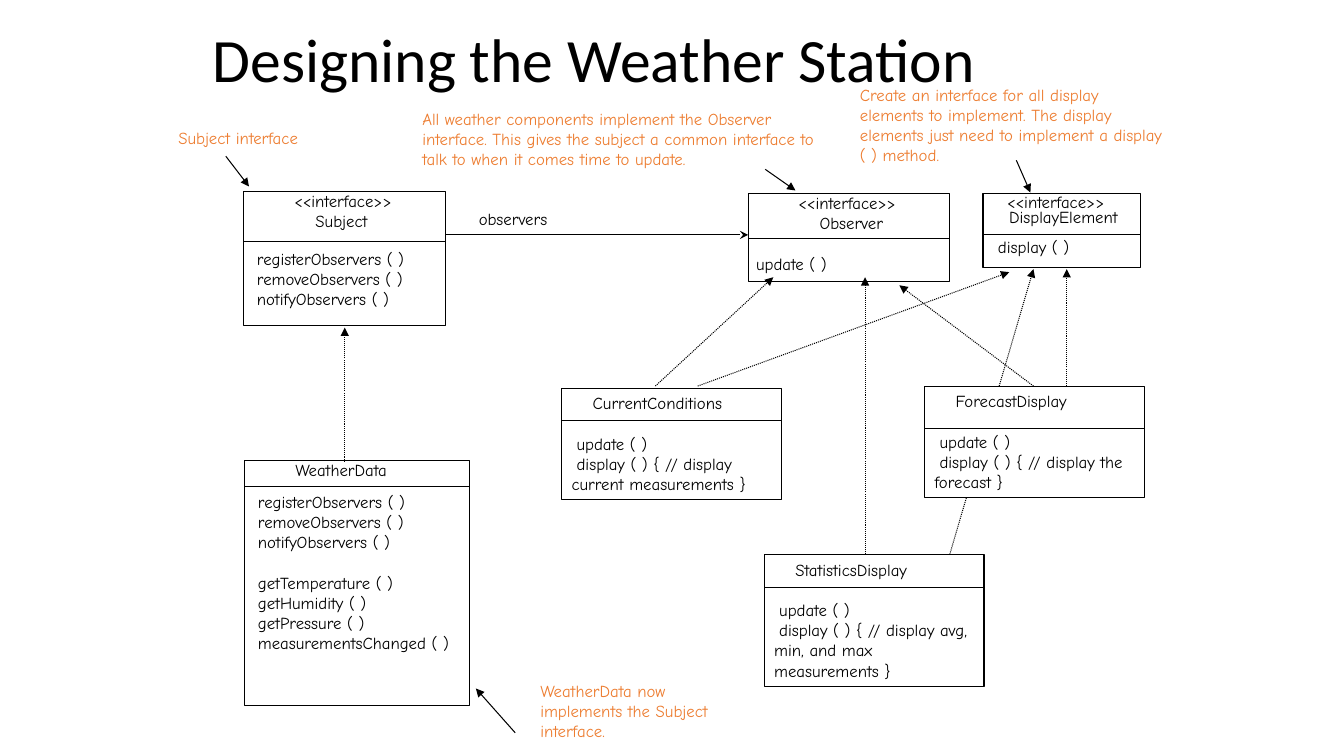
from pptx import Presentation
from pptx.dml.color import RGBColor
from pptx.enum import dml, shapes, text
from pptx.oxml.ns import qn
from pptx.util import Inches, Pt
from lxml import etree

BLACK = RGBColor(0x00, 0x00, 0x00)
WHITE = RGBColor(0xFF, 0xFF, 0xFF)
ORANGE = RGBColor(0xED, 0x7D, 0x31)
BODY_FONT = "Comic Neue"
NAME_INDENT = 0.21
MEMBER_INDENT = 0.05
LINE_GAP = 14.5  # one empty line of 12 pt text


def write(frame, lines, color=BLACK, font=BODY_FONT, size=12, spacing=None):
    """Fill a frame with lines of (words, first-line indent in inches, points before)."""
    frame.word_wrap = True
    for number, (words, indent, before) in enumerate(lines):
        paragraph = frame.paragraphs[0] if number == 0 else frame.add_paragraph()
        paragraph.alignment = text.PP_ALIGN.LEFT
        paragraph._p.get_or_add_pPr().set("indent", str(Inches(indent)))
        if spacing:
            paragraph.line_spacing = spacing
        if before:
            paragraph.space_before = Pt(before)
        run = paragraph.add_run()
        run.text = words
        run.font.name, run.font.size = font, Pt(size)
        run.font.color.rgb = color


def add_label(slide, box, lines, **style):
    frame = slide.shapes.add_textbox(*map(Inches, box)).text_frame
    write(frame, lines, **style)
    return frame


def add_line(slide, start, end, head=None, dotted=False):
    line = slide.shapes.add_connector(
        shapes.MSO_CONNECTOR.STRAIGHT, *map(Inches, (*start, *end)))
    line.line.color.rgb = BLACK
    line.line.width = Pt(0.75)
    if dotted:
        line.line.dash_style = dml.MSO_LINE.ROUND_DOT
    properties = line._element.spPr
    if head:
        etree.SubElement(properties.find(qn("a:ln")), qn("a:tailEnd"), type=head)
    etree.SubElement(properties, qn("a:effectLst"))


def add_frame(slide, box, divider, fill=None):
    """Draw a class rectangle with its divider at a distance below the top."""
    left, top, width, _ = box
    outline = slide.shapes.add_shape(shapes.MSO_SHAPE.RECTANGLE, *map(Inches, box))
    outline.shadow.inherit = False
    if fill is None:
        outline.fill.background()
    else:
        outline.fill.solid()
        outline.fill.fore_color.rgb = fill
    outline.line.color.rgb = BLACK
    outline.line.width = Pt(0.75)
    add_line(slide, (left, top + divider), (left + width, top + divider))
    outline.text_frame.vertical_anchor = text.MSO_ANCHOR.TOP
    return outline.text_frame


def add_class(slide, box, divider, names, members_top, members):
    """Place a class whose names and members are separate labels."""
    left, top, width, _ = box
    add_frame(slide, box, divider)
    add_label(slide, (left + 0.4, top - 0.06, 1.28, 0.1 + 0.2 * len(names)), names)
    add_label(slide, (left - 0.02, top + members_top, width + 0.02,
                      0.1 + 0.2 * len(members)), members)


def add_display(slide, box, divider, name, action, fill=None):
    write(add_frame(slide, box, divider, fill), [
        (name, NAME_INDENT, 0),
        ("update ( )", MEMBER_INDENT, LINE_GAP),
        (action, MEMBER_INDENT, 0)])


def add_display_element(slide, box):
    frame = add_frame(slide, box, 0.41)
    frame.margin_top = Inches(0.03)
    write(frame, [("<<interface>>", 0.14, 0), ("DisplayElement", 0.16, 0),
                  ("display ( )", MEMBER_INDENT, 10)], spacing=Pt(11))


def add_note(slide, box, words, start, end):
    add_label(slide, box, [(words, 0, 0)], color=ORANGE)
    add_line(slide, start, end, "triangle")


def add_title(slide, box):
    frame = add_label(slide, box, [("Designing the Weather Station", 0, 0)],
                      font="Calibri", size=44, spacing=0.9)
    frame.vertical_anchor = text.MSO_ANCHOR.MIDDLE


def add_classes(slide):
    observer_methods = [(name + " ( )", MEMBER_INDENT, 0) for name in
                        ("registerObservers", "removeObservers", "notifyObservers")]
    getters = [("getTemperature ( )", MEMBER_INDENT, LINE_GAP)] + [
        (name + " ( )", MEMBER_INDENT, 0) for name in
        ("getHumidity", "getPressure", "measurementsChanged")]

    add_display(slide, (9.17, 3.83, 2.18, 1.11), 0.42, "ForecastDisplay",
                "display ( ) { // display the forecast }", WHITE)
    add_display(slide, (5.57, 3.85, 2.18, 1.11), 0.32, "CurrentConditions",
                "display ( ) { // display current measurements }")
    add_display(slide, (7.58, 5.5, 2.18, 1.31), 0.33, "StatisticsDisplay",
                "display ( ) { // display avg, min, and max measurements }")
    add_class(slide, (2.42, 1.9, 2, 1.33), 0.5,
              [("<<interface>>", 0, 0), ("Subject", NAME_INDENT, 0)],
              0.52, observer_methods)
    add_class(slide, (7.42, 1.92, 2, 0.87), 0.45,
              [("<<interface>>", 0, 0), ("Observer", NAME_INDENT, 0)],
              0.55, [("update ( )", 0, 0)])
    add_class(slide, (2.43, 4.57, 2.23, 2.43), 0.26,
              [("WeatherData", 0, 0)], 0.26, observer_methods + getters)
    add_display_element(slide, (9.75, 1.92, 1.56, 0.73))


def add_relations(slide):
    add_line(slide, (4.42, 2.33), (7.42, 2.33), "stealth")
    add_label(slide, (4.65, 2.02, 0.98, 0.3), [("observers", 0, 0)])
    for start, end in (
            ((3.42, 4.58), (3.42, 3.25)),
            ((6.5, 3.83), (7.67, 2.75)),
            ((8.58, 5.5), (8.58, 2.75)),
            ((10.25, 3.83), (8.92, 2.83)),
            ((10.58, 3.83), (10.58, 2.67)),
            ((6.92, 3.83), (10.01, 2.7))):
        add_line(slide, start, end, "triangle", dotted=True)


def add_notes(slide):
    add_note(slide, (1.67, 1.22, 1.62, 0.3), "Subject interface",
             (2.24, 1.55), (2.47, 1.85))
    add_note(slide, (4.09, 1.03, 4.29, 0.71),
             "All weather components implement the Observer interface. This gives "
             "the subject a common interface to talk to when it comes time to update.",
             (7.59, 1.68), (7.89, 1.89))
    add_note(slide, (8.43, 0.79, 3.24, 0.91),
             "Create an interface for all display elements to implement. The display "
             "elements just need to implement a display ( ) method.",
             (10.08, 1.59), (10.22, 1.91))
    add_note(slide, (5.26, 6.7, 2.12, 0.71),
             "WeatherData now implements the Subject interface.",
             (5.11, 7.27), (4.72, 6.83))


def main():
    deck = Presentation()
    deck.slide_width, deck.slide_height = Inches(13.33), Inches(7.5)
    slide = deck.slides.add_slide(deck.slide_layouts[6])
    # The white ForecastDisplay box covers the middle of this arrow.
    add_line(slide, (9.42, 5.5), (10.25, 2.67), "triangle", dotted=True)
    add_title(slide, (2.01, 0, 9.25, 1.25))
    add_classes(slide)
    add_relations(slide)
    add_notes(slide)
    deck.save("out.pptx")


if __name__ == "__main__":
    main()
